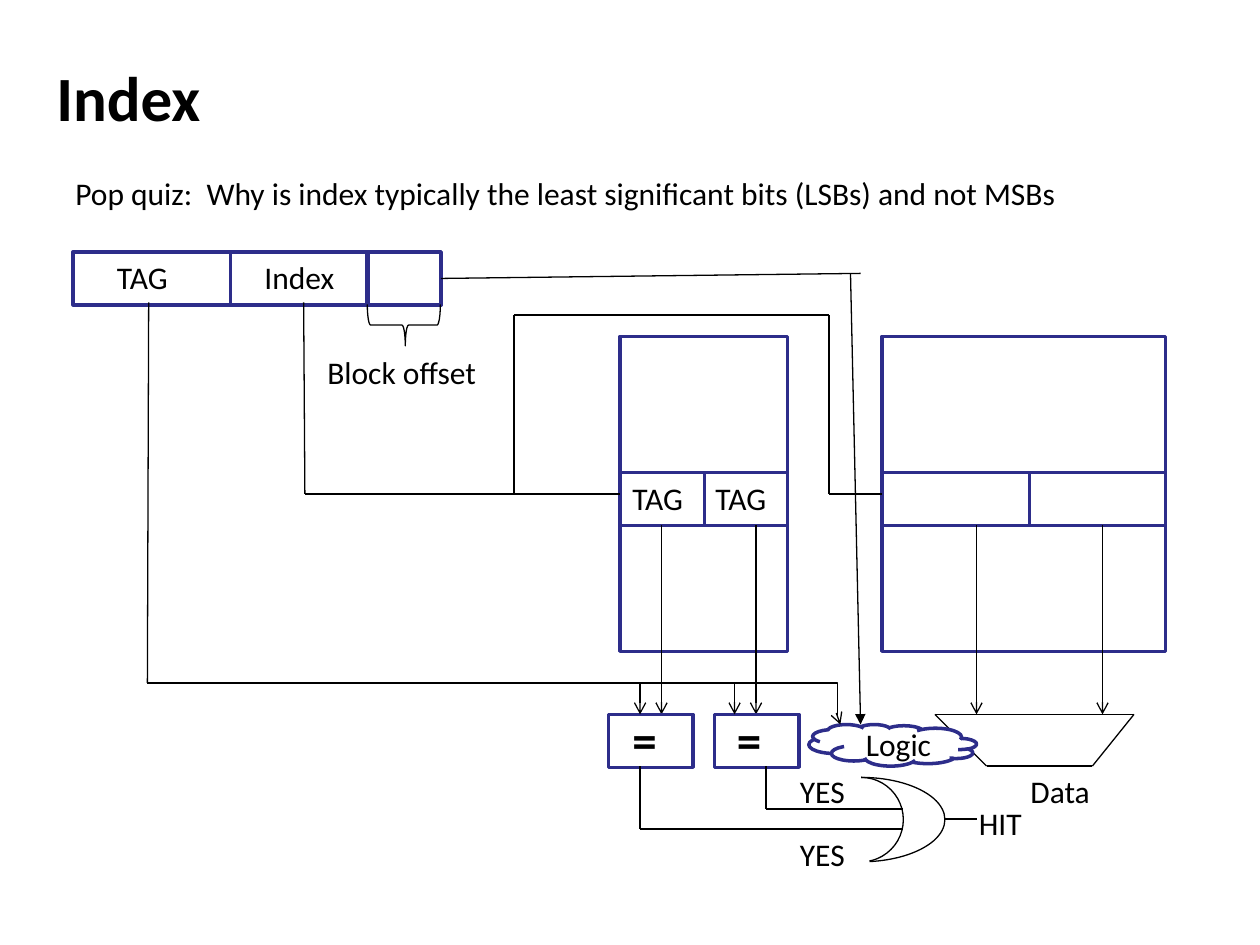
from itertools import pairwise

from lxml import etree
from pptx import Presentation
from pptx.dml.color import RGBColor
from pptx.enum import shapes, text
from pptx.oxml.ns import qn
from pptx.util import Inches, Pt

COLORS = {"ink": "000000", "frame": "2D2D8A", "paper": "FFFFFF"}
KIND = shapes.MSO_SHAPE


def color(name):
    return RGBColor.from_string(COLORS[name])


def write(frame, words, size=18, bold=False, align=text.PP_ALIGN.LEFT,
          anchor=text.MSO_ANCHOR.TOP, wrap=False, grow=True):
    frame.word_wrap = wrap
    frame.auto_size = (text.MSO_AUTO_SIZE.SHAPE_TO_FIT_TEXT if grow
                       else text.MSO_AUTO_SIZE.NONE)
    frame.vertical_anchor = anchor
    para = frame.paragraphs[0]
    para.alignment = align
    span = para.add_run()
    span.text = words
    span.font.name = "Calibri"
    span.font.size = Pt(size)
    span.font.bold = bold
    span.font.color.rgb = color("ink")


class Diagram:
    thick = Pt(2)
    thin = Pt(0.75)

    def __init__(self, page):
        self.page = page

    def shape(self, kind, left, top, width, height, fill=None,
              line="frame", weight=thick, adjust=()):
        shape = self.page.shapes.add_shape(
            kind, Inches(left), Inches(top), Inches(width), Inches(height))
        shape.shadow.inherit = False
        if fill:
            shape.fill.solid()
            shape.fill.fore_color.rgb = color(fill)
        else:
            shape.fill.background()
        shape.line.color.rgb = color(line)
        shape.line.width = weight
        for index, value in enumerate(adjust):
            shape.adjustments[index] = value
        return shape

    def box(self, left, top, width, height, fill="paper"):
        return self.shape(KIND.RECTANGLE, left, top, width, height, fill)

    def curve(self, kind, left, top, width, height, adjust):
        return self.shape(kind, left, top, width, height, line="ink",
                          weight=self.thin, adjust=adjust)

    def label(self, words, left, top, width, height=0.4, **style):
        box = self.page.shapes.add_textbox(
            Inches(left), Inches(top), Inches(width), Inches(height))
        write(box.text_frame, words, **style)

    def connector(self, start, end, head=None,
                  kind=shapes.MSO_CONNECTOR.STRAIGHT):
        line = self.page.shapes.add_connector(
            kind, *(Inches(value) for value in (*start, *end)))
        line.line.color.rgb = color("ink")
        line.line.width = self.thin
        properties = line._element.spPr
        etree.SubElement(properties, qn("a:effectLst"))
        if head:
            etree.SubElement(properties.find(qn("a:ln")), qn("a:tailEnd"), type=head)
        return line

    def wire(self, *points):
        for start, end in pairwise(points):
            self.connector(start, end)

    def elbow(self, start, end, bend, head):
        line = self.connector(start, end, head, shapes.MSO_CONNECTOR.ELBOW)
        guides = line._element.spPr.find(qn("a:prstGeom")).get_or_add_avLst()
        etree.SubElement(guides, qn("a:gd"), name="adj1",
                         fmla=f"val {round(bend * 100000)}")


def draw_address(diagram):
    for left, width in ((0.58, 2.92), (2.92, 0.58), (1.83, 1.08)):
        diagram.box(left, 2, width, 0.42)
    brace = diagram.curve(KIND.LEFT_BRACE, 3.04, 2.29, 0.33, 0.58, (0.08, 0.52))
    brace.rotation = 270
    diagram.label("Index", 2, 2, 0.82)
    diagram.label("TAG", 0.83, 2, 0.7)
    diagram.label("Block offset", 2.5, 2.75, 1.5)


def draw_stores(diagram):
    for left, width, first_way in ((7, 2.25, 1.17), (4.92, 1.33, 0.67)):
        diagram.box(left, 2.67, width, 2.5)
        diagram.box(left, 3.75, width, 0.42)
        diagram.box(left, 3.75, first_way, 0.42, fill=None)
    for left in (4.92, 5.58):
        diagram.label("TAG", left, 3.75, 0.7)
    diagram.wire((2.41, 2.4), (2.42, 3.92), (4.92, 3.92))
    diagram.wire((4.08, 3.92), (4.08, 2.5), (6.58, 2.5), (6.58, 3.92), (7, 3.92))
    for x in (5.25, 6, 7.75, 8.75):
        diagram.connector((x, 4.17), (x, 5.67), head="arrow")


def draw_comparators(diagram):
    diagram.wire((1.18, 2.4), (1.17, 5.42), (5.83, 5.42))
    for left, sign_left, tag_x in ((4.83, 4.92, 5.08), (5.67, 5.75, 5.83)):
        diagram.box(left, 5.67, 0.67, 0.42, fill=None)
        diagram.connector((tag_x, 5.42), (tag_x, 5.67), head="arrow")
        diagram.label("=", sign_left, 5.58, 0.43, 0.57, size=28, bold=True)


def draw_hit_gate(diagram):
    diagram.wire((6.08, 6.08), (6.08, 6.42), (7.17, 6.42))
    diagram.wire((5.08, 6.08), (5.08, 6.58), (7.17, 6.58))
    for left, width in ((6.17, 1.33), (6.5, 0.67)):
        diagram.curve(KIND.ARC, left, 6.17, width, 0.67, (162, 47.14))
    diagram.wire((7.5, 6.5), (7.75, 6.5))
    diagram.label("HIT", 7.67, 6.33, 0.61)
    for top in (6.58, 6.08):
        diagram.label("YES", 6.25, top, 0.71)


def draw_data_selector(diagram):
    diagram.wire((7.42, 5.67), (9, 5.67), (8.67, 6.08), (7.83, 6.08), (7.42, 5.67))
    diagram.label("Data", 8.08, 6.08, 0.73)
    cloud = diagram.shape(KIND.CLOUD, 6.42, 5.75, 1.33, 0.33, fill="paper")
    cloud._element.spPr.get_or_add_xfrm().set("flipH", "1")
    write(cloud.text_frame, "Logic", align=text.PP_ALIGN.CENTER,
          anchor=text.MSO_ANCHOR.MIDDLE, wrap=True, grow=False)
    diagram.wire((3.5, 2.21), (6.83, 2.17))
    diagram.connector((6.75, 2.17), (6.83, 5.75), head="triangle")
    diagram.elbow((5.83, 5.42), (6.67, 5.75), bend=0.97, head="arrow")


def main():
    deck = Presentation()
    deck.slide_width, deck.slide_height = Inches(10), Inches(7.5)
    diagram = Diagram(deck.slides.add_slide(deck.slide_layouts[6]))
    diagram.label("Index", 0.35, 0.35, 9, 0.83, size=36, bold=True,
                  anchor=text.MSO_ANCHOR.MIDDLE, wrap=True, grow=False)
    diagram.label("Pop quiz:  Why is index typically the least significant bits "
                  "(LSBs) and not MSBs", 0.5, 1.33, 8.97)
    draw_address(diagram)
    draw_stores(diagram)
    draw_comparators(diagram)
    draw_hit_gate(diagram)
    draw_data_selector(diagram)
    deck.save("out.pptx")


if __name__ == "__main__":
    main()
